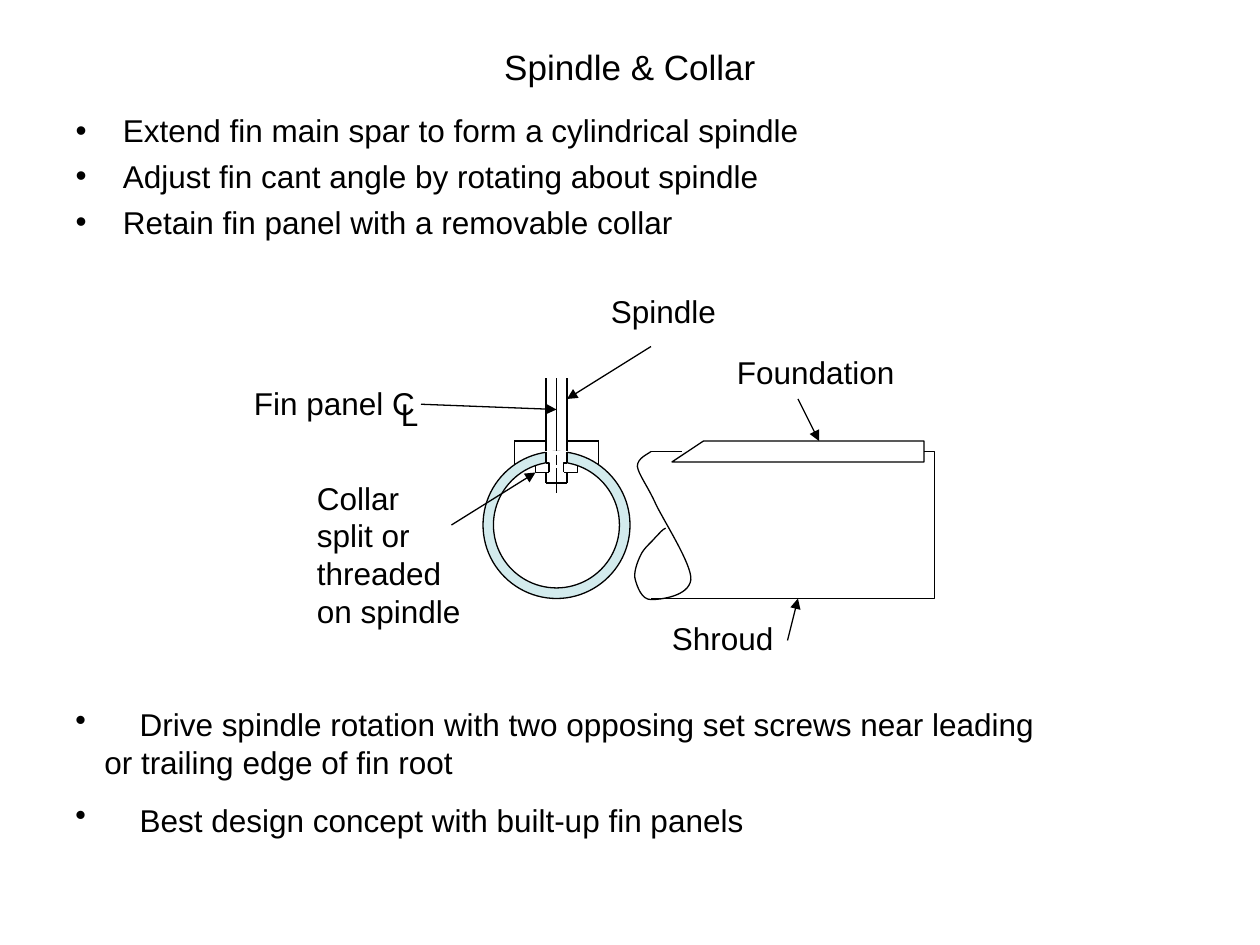
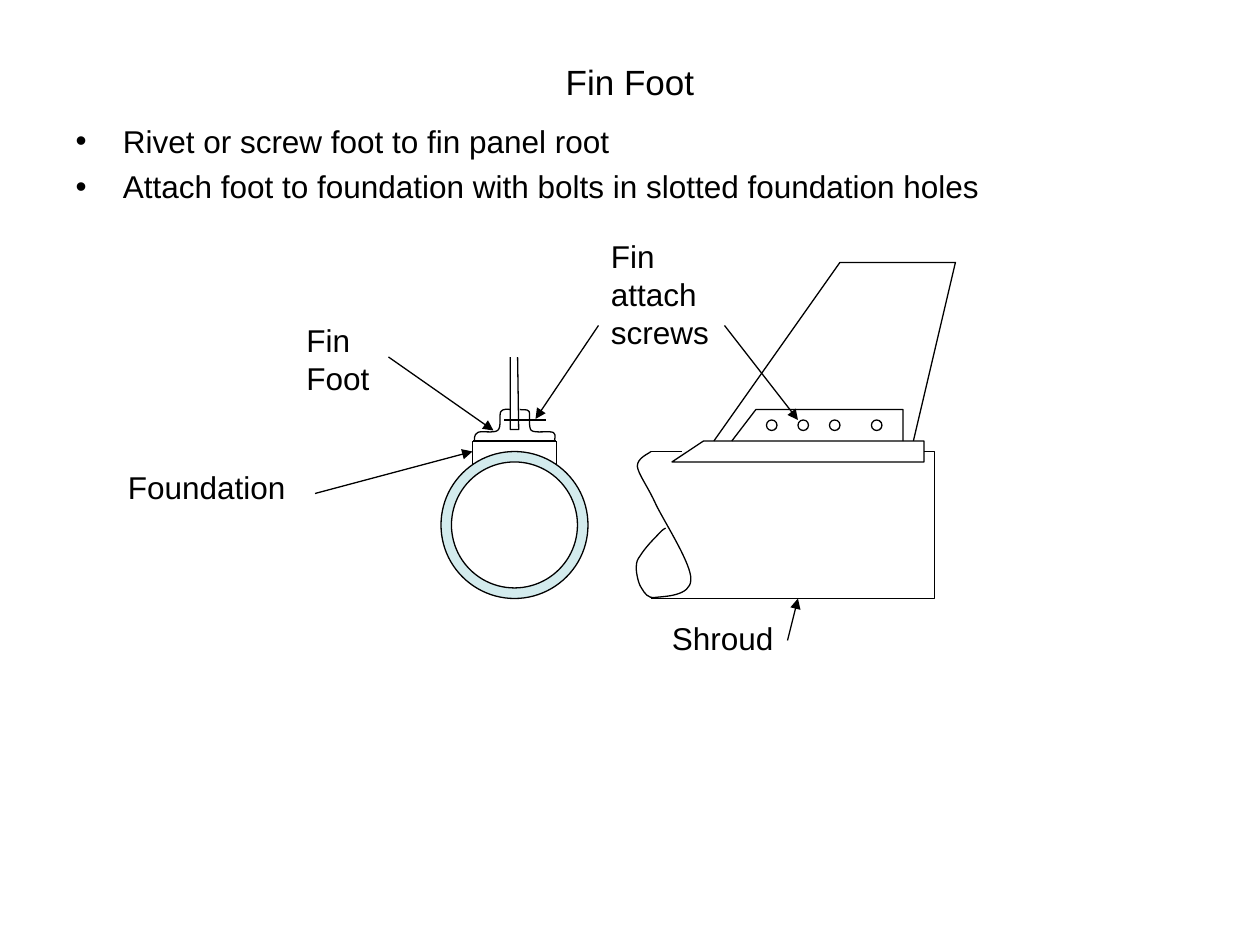
from dataclasses import dataclass

from lxml import etree
from pptx import Presentation
from pptx.dml.color import RGBColor
from pptx.enum.shapes import MSO_CONNECTOR, MSO_SHAPE
from pptx.enum.text import MSO_ANCHOR, MSO_AUTO_SIZE, PP_ALIGN
from pptx.oxml.ns import qn
from pptx.util import Inches, Pt

STRAIGHT = MSO_CONNECTOR.STRAIGHT
OVAL, RECT = MSO_SHAPE.OVAL, MSO_SHAPE.RECTANGLE
MIDDLE, NO_FIT = MSO_ANCHOR.MIDDLE, MSO_AUTO_SIZE.NONE
LEFT, CENTER = PP_ALIGN.LEFT, PP_ALIGN.CENTER

WIDTH, HEIGHT = Inches(10), Inches(7.5)
COLS = 120
CELL = WIDTH // COLS

BLACK, WHITE, TUBE = "000000", "FFFFFF", "D3EBED"
LINE_WIDTH = Pt(0.75)
TITLE_FONT = {"name": "Arial", "size": Pt(20), "bold": False}
BODY_FONT = {"name": "Arial", "size": Pt(18), "bold": False}
LIST_FORMAT = {"alignment": LEFT, "space_before": Pt(4.5)}
FRAME_FORMAT = {"word_wrap": True, "auto_size": NO_FIT}

Point = tuple[float, float]


@dataclass(frozen=True)
class Box:
    col: float
    row: float
    cols: float
    rows: float

    def emu(self) -> tuple[int, ...]:
        return tuple(grid(n) for n in (self.col, self.row, self.cols, self.rows))


@dataclass(frozen=True)
class Label:
    text: str
    box: Box


@dataclass(frozen=True)
class Arrow:
    start: Point
    end: Point


BREAK_HEAD = [(62, 43), (61.8, 43.2), (60.7, 43.6), (60.7, 44.4),
              (60.8, 45.2), (61.7, 46.3), (62.5, 48.1),
              (63.4, 49.9), (65.9, 53.8), (65.8, 55.2)]
BREAK_END = [(62.4, 51.2), (62.8, 50.8), (63.1, 50.4), (63.4, 50.3)]
SPINDLE_BREAK = [(65.6, 56.8), (62.9, 57.1), (62, 57.1),
                 (61.1, 57.1), (60.7, 55.9), (60.5, 55.2),
                 (60.3, 54.6), (60.7, 53.5), (61, 52.9),
                 (61.3, 52.2), (62, 51.7)]
FOOT_BREAK = [(65.8, 56.8), (63.2, 56.8), (62.4, 56.9),
              (61.7, 57), (61.4, 56.5), (61.1, 56),
              (60.8, 55.6), (60.6, 54.6), (60.6, 54.1),
              (60.6, 53.5), (60.7, 53.3), (61, 52.9),
              (61.3, 52.4), (61.9, 51.7)]
FOOT_LEFT = [(45.2, 42), (45.2, 41.9), (45.1, 41.4), (45.5, 41.2),
             (45.8, 41), (47, 41.3), (47.4, 41),
             (47.8, 40.7), (47.5, 39.5), (47.7, 39.2),
             (47.9, 38.9), (48.4, 39), (48.6, 39)]
FOOT_RIGHT = [(52.8, 42), (52.8, 41.9), (53, 41.4), (52.7, 41.2),
              (52.3, 41), (51, 41.3), (50.6, 41),
              (50.3, 40.7), (50.5, 39.6), (50.4, 39.2),
              (50.2, 38.9), (49.7, 39.1), (49.5, 39)]

SHROUD_LABEL = Label("Shroud", Box(62.8, 58.4, 14, 4.8))
SHROUD_ARROW = Arrow((75, 61), (76, 57))
SPINDLE_LABELS = [
    Label("Fin panel C", Box(23, 36, 18, 4.8)),
    Label("L", Box(37, 37, 6, 4.8)),
    Label("Foundation", Box(69, 33, 25, 4.8)),
    Label("Spindle", Box(57, 27.2, 17, 4.8)),
    Label("Collar\vsplit or threaded on spindle", Box(29, 45, 17, 15.6)),
    SHROUD_LABEL,
]
SPINDLE_ARROWS = [
    Arrow((40.1, 38.5), (53, 39)),
    Arrow((76, 38), (78, 42)),
    Arrow((62, 33), (54, 38)),
    Arrow((43, 50), (51, 45)),
    SHROUD_ARROW,
]
FOOT_LABELS = [
    Label("Fin attach screws", Box(57, 22, 12, 12)),
    Label("Foundation", Box(11, 44, 18, 4.8)),
    Label("Fin Foot", Box(28, 30, 9, 8.4)),
    SHROUD_LABEL,
]
FOOT_ARROWS = [
    Arrow((37, 34), (47, 41)),
    Arrow((30, 47), (45, 43)),
    Arrow((57, 31), (51, 39.9)),
    Arrow((69, 31), (76, 40)),
    SHROUD_ARROW,
]


def grid(n: float) -> int:
    return round(n * CELL)


def colour(value: str) -> RGBColor:
    return RGBColor.from_string(value)


def apply(target, values: dict) -> None:
    for name, value in values.items():
        setattr(target, name, value)


def set_font(p, values: dict) -> None:
    apply(p.font, values)
    p.font.color.rgb = colour(BLACK)


def set_line(sp, value: str = BLACK) -> None:
    sp.line.color.rgb = colour(value)
    sp.line.width = LINE_WIDTH


def place(sp, box: Box) -> None:
    apply(sp, dict(zip(("left", "top", "width", "height"), box.emu())))


def add_line(s, start: Point, end: Point, arrow: bool = False) -> None:
    sp = s.shapes.add_connector(STRAIGHT, *(grid(n) for n in (*start, *end)))
    set_line(sp)
    if arrow:
        etree.SubElement(sp.line._get_or_add_ln(), qn("a:tailEnd"), type="triangle")
    etree.SubElement(sp._element.spPr, qn("a:effectLst"))


def add_lines(s, lines: list[tuple[Point, Point]]) -> None:
    for start, end in lines:
        add_line(s, start, end)


def add_outline(s, points: list[Point], close: bool = False):
    first, *rest = [(grid(x), grid(y)) for x, y in points]
    builder = s.shapes.build_freeform(*first)
    builder.add_line_segments(rest, close=close)
    sp = builder.convert_to_shape()
    sp.fill.background()
    sp.shadow.inherit = False
    set_line(sp)
    return sp


def add_curve(s, points: list[Point]) -> None:
    sp = add_outline(s, points)
    geom = sp._element.find(".//" + qn("a:path"))
    segments = geom.findall(qn("a:lnTo"))
    for i in range(0, len(segments), 3):
        bezier = etree.SubElement(geom, qn("a:cubicBezTo"))
        for segment in segments[i:i + 3]:
            bezier.append(segment[0])
            geom.remove(segment)


def add_preset(s, kind, box: Box, fill: str = WHITE, line: str = BLACK) -> None:
    sp = s.shapes.add_shape(kind, *box.emu())
    sp.shadow.inherit = False
    sp.fill.solid()
    sp.fill.fore_color.rgb = colour(fill)
    set_line(sp, line)


def add_text(s, label: Label):
    tf = s.shapes.add_textbox(*label.box.emu()).text_frame
    apply(tf, FRAME_FORMAT)
    tf.text = label.text
    for p in tf.paragraphs:
        set_font(p, BODY_FONT)
    return tf


def add_notes_list(s, label: Label) -> None:
    for i, p in enumerate(add_text(s, label).paragraphs):
        pPr = p._p.get_or_add_pPr()
        pPr.set("marL", str(Inches(0.23)))
        pPr.set("indent", str(-Inches(0.23)))
        p.space_before = Pt(11.2 if i else 0)
        bullet = etree.Element(qn("a:buChar"), char="•")
        tabs = etree.Element(qn("a:tabLst"))
        etree.SubElement(tabs, qn("a:tab"), pos=str(Inches(0.51)), algn="l")
        run_format = pPr.find(qn("a:defRPr"))
        run_format.addprevious(bullet)
        run_format.addprevious(tabs)


def start_slide(prs, title: str, title_box: Box, items: list[str], body_box: Box):
    s = prs.slides.add_slide(prs.slide_layouts[1])
    heading, body = s.shapes.title, s.placeholders[1]
    place(heading, title_box)
    place(body, body_box)
    for sp, text in ((heading, title), (body, "\n".join(items))):
        apply(sp.text_frame, FRAME_FORMAT)
        sp.text_frame.text = text
    heading.text_frame.vertical_anchor = MIDDLE
    heading.text_frame.paragraphs[0].alignment = CENTER
    set_font(heading.text_frame.paragraphs[0], TITLE_FONT)
    for i, p in enumerate(body.text_frame.paragraphs):
        apply(p, LIST_FORMAT if i else LIST_FORMAT | {"space_before": Pt(0)})
        set_font(p, BODY_FONT)
    return s


def draw_section(s, center: float, gap: float = 0) -> None:
    add_preset(s, OVAL, Box(center - 7, 43, 14, 14), TUBE)
    add_preset(s, OVAL, Box(center - 6, 44, 12, 12))
    for side in (-1, 1):
        edge = center + 4 * side
        add_lines(s, [((edge, 42), (edge, 44.2)),
                      ((center + gap * side, 42), (edge, 42))])


def draw_shroud(s, break_tail: list[Point]) -> None:
    add_line(s, (62, 43), (65, 43))
    add_outline(s, [(88, 43), (89, 43), (89, 57), (62, 57)])
    add_curve(s, BREAK_HEAD + break_tail + BREAK_END)
    add_outline(s, [(67, 42), (88, 42), (88, 44), (64, 44)], close=True)


def draw_spindle(s, center: float) -> None:
    add_line(s, (center, 36), (center, 50))
    for side in (-1, 1):
        add_line(s, (center + side, 36), (center + side, 46))
    for left in (center - 1, center):
        add_preset(s, RECT, Box(left, 43, 1, 2), line=WHITE)
    for side in (-1, 1):
        wall, neck, rim = (center + side * n for n in (1, 0.7, 2))
        add_outline(s, [(wall, 43), (wall, 44.1), (neck, 44.1), (neck, 45)])
        add_outline(s, [(rim, 44.4), (rim, 45), (neck, 45)])
    add_lines(s, [((center - 1, 46), (center + 1, 46)),
                  ((center, 43.3), (center, 44.3)),
                  ((center, 44.6), (center, 46))])
    add_preset(s, RECT, Box(center, 47, 1, 3), line=WHITE)


def draw_foot(s) -> None:
    add_curve(s, FOOT_LEFT)
    add_curve(s, FOOT_RIGHT)
    add_outline(s, [(48.6, 34), (48.6, 40.9), (49.4, 40.9), (49.3, 34)])
    add_line(s, (48, 40), (52, 40))
    add_outline(s, [(68, 42), (80, 25), (91, 25), (87, 42)])
    add_outline(s, [(69.7, 42), (72, 39), (86, 39), (86, 42)])
    for col in (73, 76, 79, 83):
        add_preset(s, OVAL, Box(col, 40, 1, 1))


def annotate(s, labels: list[Label], arrows: list[Arrow]) -> None:
    for label in labels:
        add_text(s, label)
    for arrow in arrows:
        add_line(s, arrow.start, arrow.end, arrow=True)


def main() -> None:
    prs = Presentation()
    apply(prs, {"slide_width": WIDTH, "slide_height": HEIGHT})

    s = start_slide(prs, "Spindle & Collar", Box(6, 3.6, 108, 5.4),
                    ["Extend fin main spar to form a cylindrical spindle",
                     "Adjust fin cant angle by rotating about spindle",
                     "Retain fin panel with a removable collar"], Box(6, 10, 108, 15))
    draw_section(s, 53, gap=1)
    draw_shroud(s, SPINDLE_BREAK)
    draw_spindle(s, 53)
    annotate(s, SPINDLE_LABELS, SPINDLE_ARROWS)
    add_notes_list(s, Label(
        "\tDrive spindle rotation with two opposing set screws near leading or trailing"
        " edge of fin root\n\tBest design concept with built-up fin panels",
        Box(6, 66.6, 95, 13.9)))

    s = start_slide(prs, "Fin Foot", Box(6, 3.6, 108, 8.4),
                    ["Rivet or screw foot to fin panel root",
                     "Attach foot to foundation with bolts in slotted foundation holes"],
                    Box(6, 11, 108, 11))
    draw_section(s, 49)
    draw_shroud(s, FOOT_BREAK)
    draw_foot(s)
    annotate(s, FOOT_LABELS, FOOT_ARROWS)

    prs.save("out.pptx")


if __name__ == "__main__":
    main()
